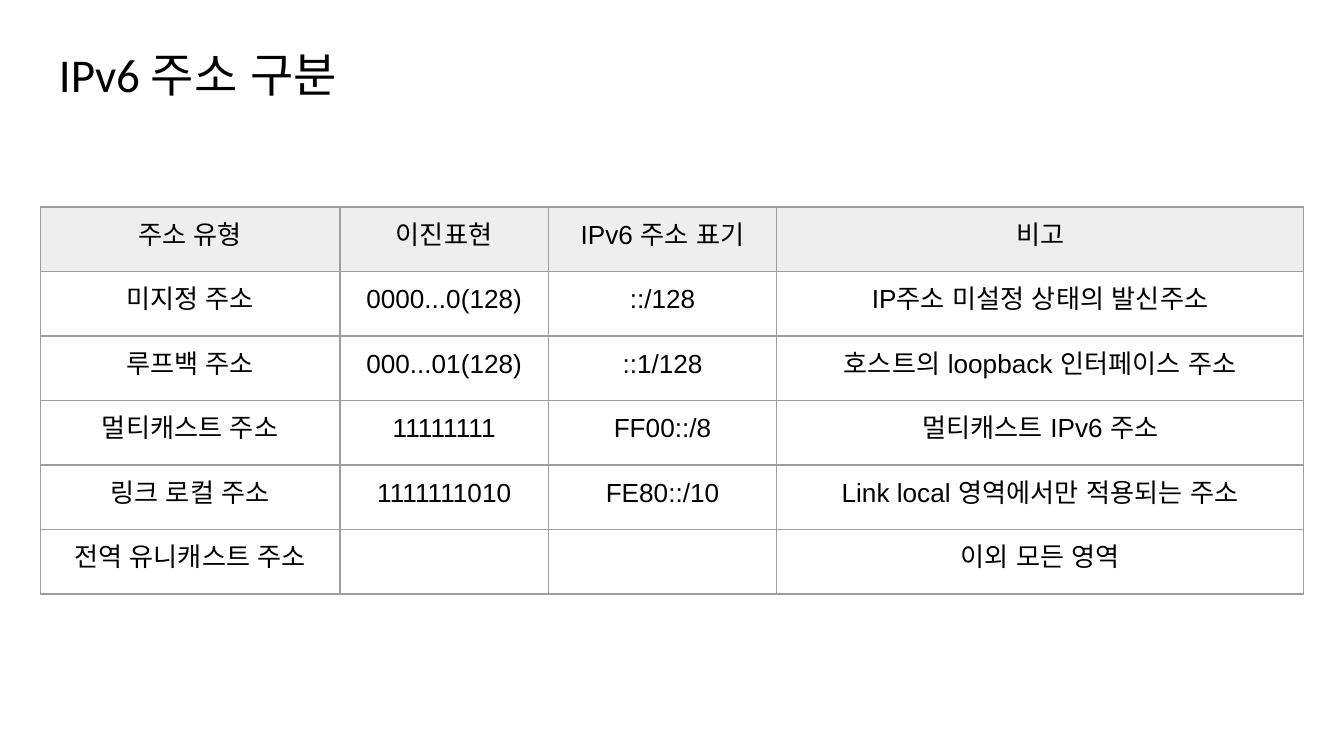
import pptx
import pptx.dml.color
import pptx.enum.text
import pptx.oxml.ns
import pptx.util
import lxml.etree
from pptx.util import Inches

LINE_COLOR = "9E9E9E"
HEADER_FILL = "EEEEEE"
TEXT_COLOR = "000000"
MARGIN = Inches(0.1)
COLUMN_WIDTHS = [2.23, 1.55, 1.7, 3.92]
ROW_HEIGHT = 0.48
ROWS = [
    ["주소 유형", "이진표현", "IPv6 주소 표기", "비고"],
    ["미지정 주소", "0000...0(128)", "::/128", "IP주소 미설정 상태의 발신주소"],
    ["루프백 주소", "000...01(128)", "::1/128", "호스트의 loopback 인터페이스 주소"],
    ["멀티캐스트 주소", "11111111", "FF00::/8", "멀티캐스트 IPv6 주소"],
    ["링크 로컬 주소", "1111111010", "FE80::/10", "Link local 영역에서만 적용되는 주소"],
    ["전역 유니캐스트 주소", "", "", "이외 모든 영역"],
]


def add_element(parent, tag, **attributes):
    return lxml.etree.SubElement(parent, pptx.oxml.ns.qn(tag), **attributes)


def add_run(paragraph, text, font_name, size):
    run = paragraph.add_run()
    run.text = text
    run.font.size = pptx.util.Pt(size)
    run.font.color.rgb = pptx.dml.color.RGBColor.from_string(TEXT_COLOR)
    run.font.name = font_name
    # Spaces between Korean words take the East Asian font
    add_element(run._r.get_or_add_rPr(), "a:ea", typeface="Arial")


presentation = pptx.Presentation()
presentation.slide_width = Inches(10)
presentation.slide_height = Inches(10) * 9 // 16
slide = presentation.slides.add_slide(presentation.slide_layouts[6])

title = slide.shapes.add_textbox(Inches(0.34), Inches(0.24), Inches(9.32), Inches(0.63))
title_frame = title.text_frame
title_frame.word_wrap = True
title_frame.margin_left = title_frame.margin_right = MARGIN
title_frame.margin_top = title_frame.margin_bottom = MARGIN
add_run(title_frame.paragraphs[0], "IPv6 주소 구분", "Calibri", 25.2)

table = slide.shapes.add_table(
    len(ROWS), len(COLUMN_WIDTHS), Inches(0.3), Inches(1.54),
    Inches(sum(COLUMN_WIDTHS)), Inches(ROW_HEIGHT * len(ROWS)),
).table
table.horz_banding = False
for column, width in zip(table.columns, COLUMN_WIDTHS):
    column.width = Inches(width)

for row_index, row in enumerate(ROWS):
    table.rows[row_index].height = Inches(ROW_HEIGHT)
    for column_index, text in enumerate(row):
        cell = table.cell(row_index, column_index)
        cell.margin_left = cell.margin_right = MARGIN
        cell.margin_top = cell.margin_bottom = MARGIN

        paragraph = cell.text_frame.paragraphs[0]
        paragraph.alignment = pptx.enum.text.PP_ALIGN.CENTER
        if text:
            add_run(paragraph, text, "Arial", 14)
        else:
            # Keeps an empty cell from growing the row
            add_element(paragraph._p, "a:endParaRPr", sz="1400")

        # Borders must come before the fill in the cell properties
        properties = cell._tc.get_or_add_tcPr()
        for side in ("L", "R", "T", "B"):
            border = add_element(properties, f"a:ln{side}", w=str(pptx.util.Pt(0.75)))
            border_fill = add_element(border, "a:solidFill")
            add_element(border_fill, "a:srgbClr", val=LINE_COLOR)
        if row_index == 0:
            cell.fill.solid()
            cell.fill.fore_color.rgb = pptx.dml.color.RGBColor.from_string(HEADER_FILL)
        else:
            cell.fill.background()

presentation.save("out.pptx")
